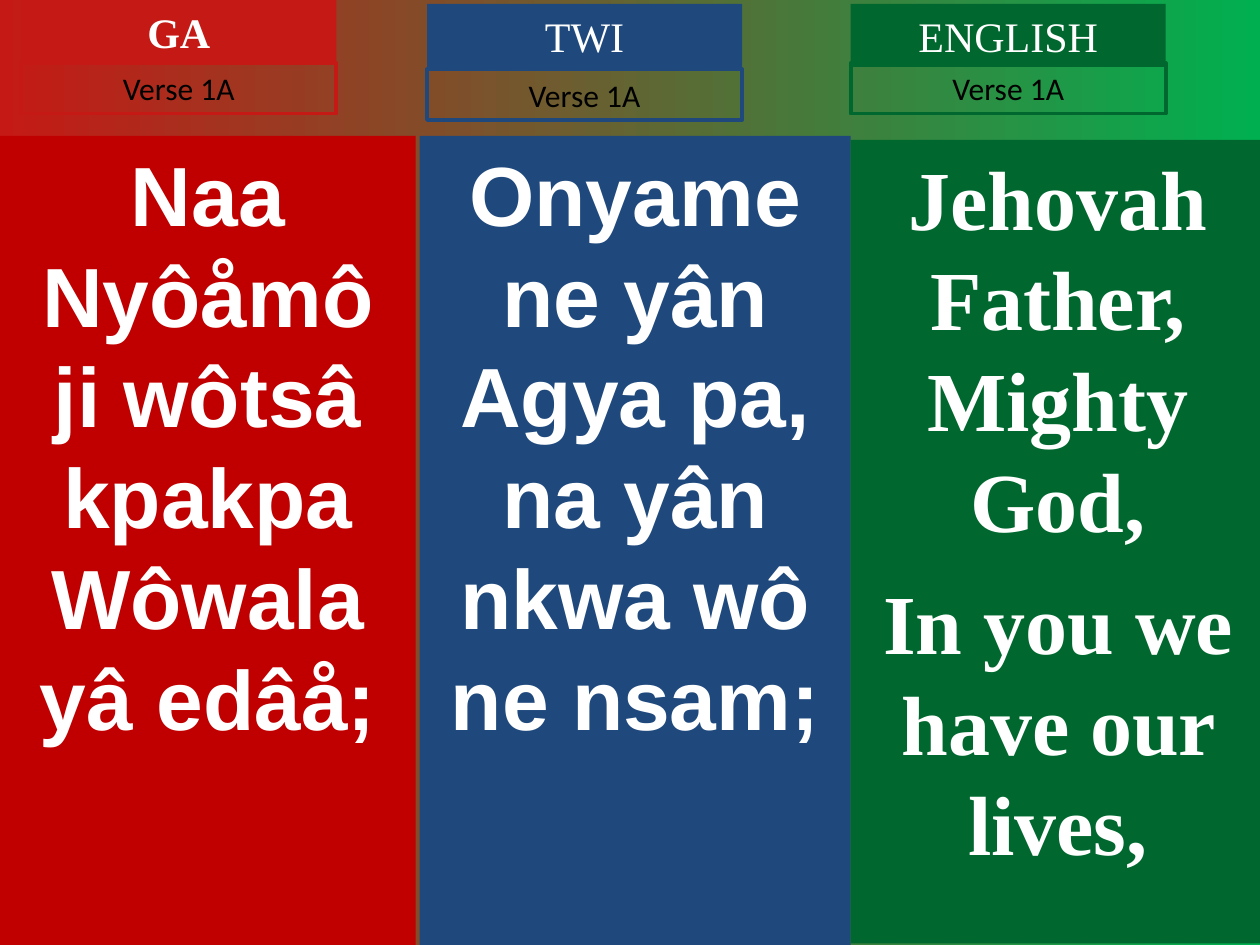
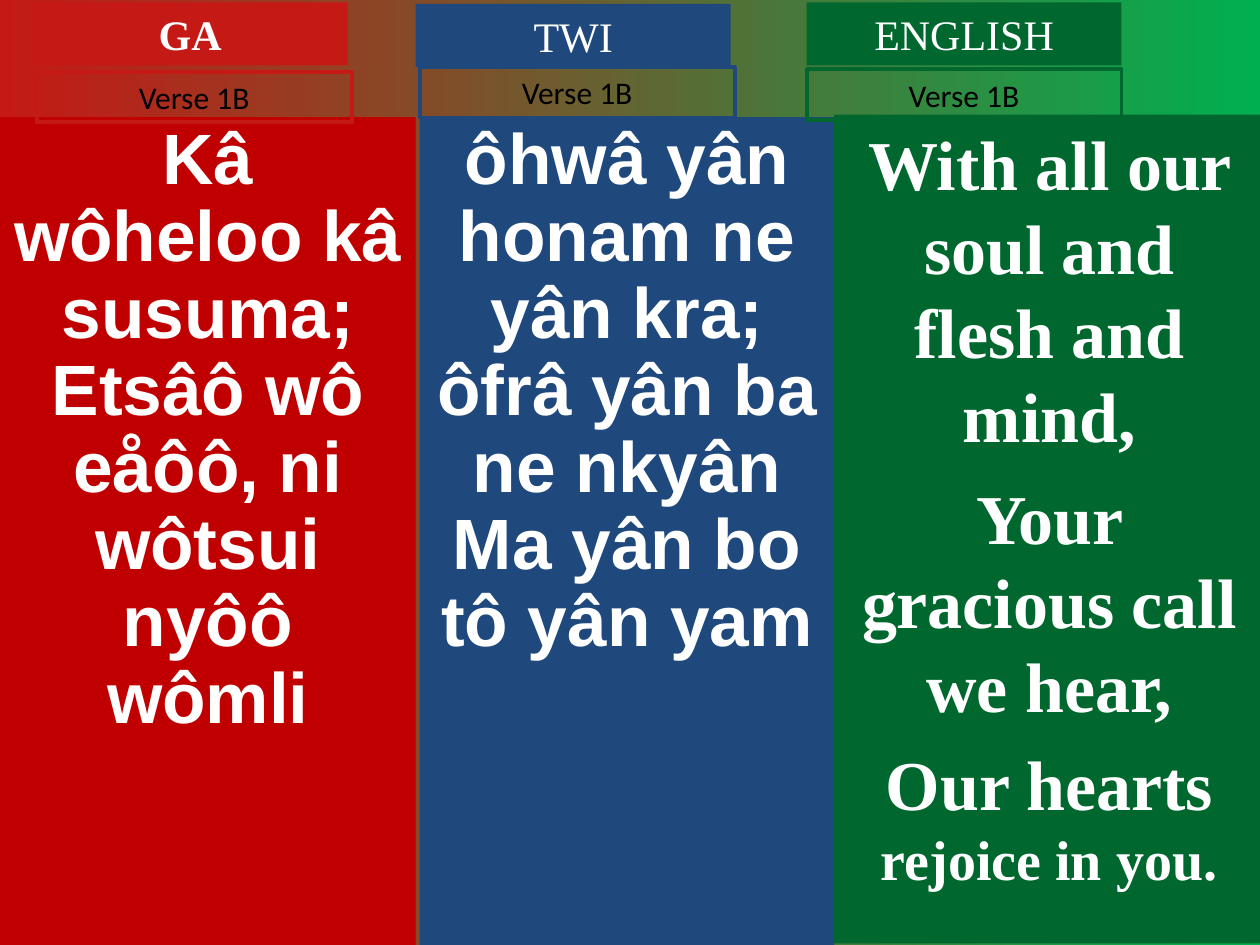
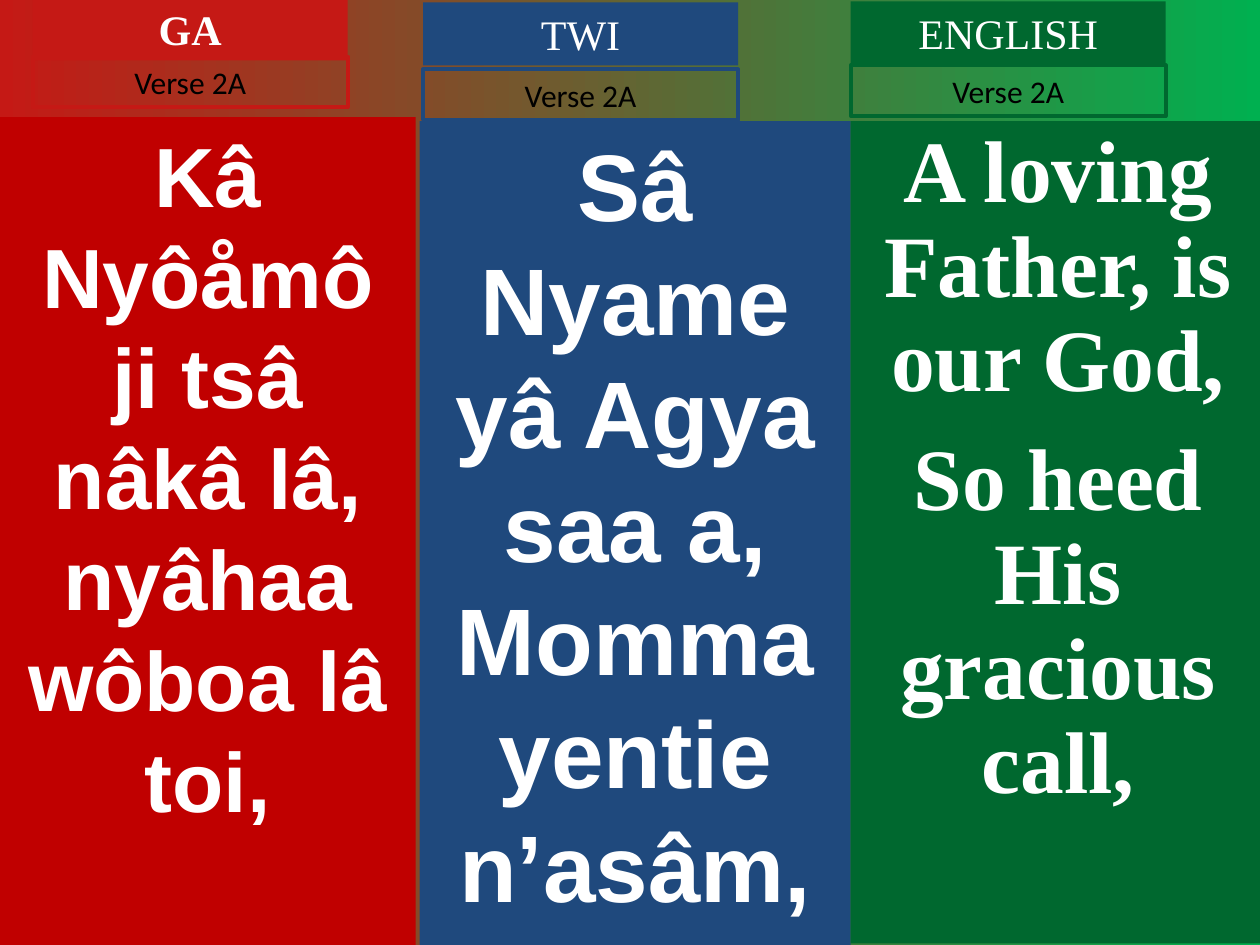
import pptx
import pptx.dml.color
import pptx.enum.shapes
import pptx.enum.text
import pptx.util
from lxml import etree

Cm, Pt = pptx.util.Cm, pptx.util.Pt
ALIGN, ANCHOR = pptx.enum.text.PP_ALIGN, pptx.enum.text.MSO_ANCHOR
NO_FIT = pptx.enum.text.MSO_AUTO_SIZE.NONE

COLORS = {
    "ga": "C51915", "ga_lyrics": "C00000", "twi": "1F497D", "english": "00682F",
    "white": "FFFFFF", "black": "000000", "meadow": "00B050",
}
SERIF, SANS, LABEL = "Times New Roman", "Arial", "Calibri"

# Language: heading, heading bold, panel colour, lyric font, panel bottom in cm
LANGUAGES = {
    "ga": ("GA", True, "ga_lyrics", SANS, 19.05),
    "twi": ("TWI", False, "twi", SANS, 19.05),
    "english": ("ENGLISH", False, "english", SERIF, 19.02),
}
HEADING_SIZE = (6.35, 1.27)
LABEL_SIZE = (6.35, 1.02)

# Per language: heading left and top, label left and top, panel left, top and
# width (cm), font size, line spacing, space before later lines, lyric lines
VERSES = [
    ("Verse 1A", {
        "ga": ((0.43, 0), (0.43, 1.27), (0, 2.74, 8.38), 48, 1.0, 0,
               ["Naa Nyôåmô ji wôtsâ kpakpa", "Wôwala yâ edâå;"]),
        "twi": ((8.61, 0.08), (8.61, 1.4), (8.46, 2.74, 8.69), 48, 1.0, 0,
                ["Onyame ne yân Agya pa, na yân nkwa wô ne nsam;"]),
        "english": ((17.15, 0.08), (17.15, 1.27), (17.15, 2.82, 8.36), 48, 1.0, 12,
                    ["Jehovah Father, Mighty God,", "In you we have our lives,"]),
    }),
    ("Verse 1B", {
        "ga": ((0.66, 0.05), (0.74, 1.45), (0, 2.36, 8.38), 40.7, 0.9, 0,
               ["Kâ wôheloo kâ susuma;", "Etsâôô".replace("ôô", "ô") + " wô eåôô, ni wôtsui nyôô wômli"]),
        "twi": ((8.38, 0.08), (8.46, 1.35), (8.46, 2.36, 8.36), 40.7, 0.9, 0,
                ["ôhwâ yân honam ne yân kra; ôfrâ yân ba ne nkyân",
                 "Ma yân bo tô yân yam"]),
        "english": ((16.26, 0.05), (16.26, 1.4), (16.81, 2.31, 8.69), 40, 1.0, 10,
                    ["With all our soul and flesh and mind,",
                     "Your gracious call we hear,",
                     ("Our hearts ", "rejoice in you.")]),
    }),
    ("Verse 2A", {
        "ga": ((0.66, -0.05), (0.66, 1.14), (0, 2.36, 8.38), 48, 1.0, 0,
               ["Kâ Nyôåmô ji tsâ nâkâ lâ, nyâhaa wôboa lâ toi,"]),
        "twi": ((8.53, 0.05), (8.53, 1.4), (8.46, 2.44, 8.69), 54, 1.0, 0,
                ["Sâ Nyame yâ Agya saa a,", "Momma yentie n’asâm,"]),
        "english": ((17.15, 0.03), (17.15, 1.32), (17.15, 2.44, 8.36), 50, 0.9, 13.5,
                    ["A loving Father, is our God,", "So heed His gracious call,"]),
    }),
]
CLOSING_SIZE, CLOSING_SPACE = 32, 8


def rgb(name):
    return pptx.dml.color.RGBColor.from_string(COLORS[name])


def apply(target, formats):
    for attribute, value in formats.items():
        setattr(target, attribute, value)


def place(box, left, top, width, height):
    apply(box, {"left": Cm(left), "top": Cm(top), "width": Cm(width), "height": Cm(height)})


def fill_with(box, color):
    box.fill.solid()
    box.fill.fore_color.rgb = rgb(color)


def add_box(slide):
    box = slide.shapes.add_shape(pptx.enum.shapes.MSO_SHAPE.RECTANGLE, 0, 0, 0, 0)
    box.shadow.inherit = False
    box.fill.background()
    box.line.fill.background()
    return box


def prepare_frame(box):
    frame = box.text_frame
    apply(frame, {"word_wrap": True, "auto_size": NO_FIT, "vertical_anchor": ANCHOR.TOP})
    return frame


def write_line(paragraph, parts, font, size, color, bold, spacing=1.0, before=0):
    properties = paragraph._p.get_or_add_pPr()
    apply(paragraph, {"alignment": ALIGN.CENTER, "line_spacing": spacing,
                      "space_before": Pt(before), "space_after": Pt(0)})
    properties.set("marL", "0")
    properties.set("indent", "0")
    etree.SubElement(properties, pptx.oxml.ns.qn("a:buNone"))
    for position, part in enumerate(parts):
        run = paragraph.add_run()
        run.text = part
        apply(run.font, {"name": font, "size": Pt(CLOSING_SIZE if position else size),
                         "bold": bold})
        run.font.color.rgb = rgb(color)


def add_heading(box, language, corner):
    text, bold = LANGUAGES[language][:2]
    place(box, *corner, *HEADING_SIZE)
    fill_with(box, language)
    write_line(prepare_frame(box).paragraphs[0], [text], SERIF, 24, "white", bold)


def add_verse_label(slide, verse, language, corner):
    label = add_box(slide)
    place(label, *corner, *LABEL_SIZE)
    label.line.color.rgb = rgb(language)
    label.line.width = Pt(2.25)
    write_line(prepare_frame(label).paragraphs[0], [verse], LABEL, 18, "black", False)


def fill_lyrics(panel, language, area, size, spacing, before, lines):
    color, font, bottom = LANGUAGES[language][2:]
    left, top, width = area
    place(panel, left, top, width, bottom - top)
    fill_with(panel, color)
    frame = prepare_frame(panel)
    for number, line in enumerate(lines):
        paragraph = frame.add_paragraph() if number else frame.paragraphs[0]
        parts = [line] if isinstance(line, str) else line
        gap = CLOSING_SPACE if len(parts) > 1 else before
        write_line(paragraph, parts, font, size, "white", True, spacing, gap if number else 0)


def set_background(master):
    backdrop = master.background.fill
    backdrop.gradient()
    backdrop.gradient_angle = 0
    for stop, color, position in zip(backdrop.gradient_stops, ("ga", "meadow"), (0, 1)):
        stop.color.rgb = rgb(color)
        stop.position = position


def add_verse_slide(deck, verse, columns):
    slide = deck.slides.add_slide(deck.slide_layouts.get_by_name("Comparison"))
    title, *panels, spare = slide.placeholders
    spare._element.getparent().remove(spare._element)

    for panel, (language, column) in zip(panels, columns.items()):
        heading_corner, label_corner, *lyrics = column
        fill_lyrics(panel, language, *lyrics)
        heading = title if language == "ga" else add_box(slide)
        add_heading(heading, language, heading_corner)
        add_verse_label(slide, verse, language, label_corner)


def main():
    deck = pptx.Presentation()
    apply(deck, {"slide_width": Cm(25.4), "slide_height": Cm(19.05)})
    set_background(deck.slide_master)
    for verse, columns in VERSES:
        add_verse_slide(deck, verse, columns)
    deck.save("out.pptx")


if __name__ == "__main__":
    main()
